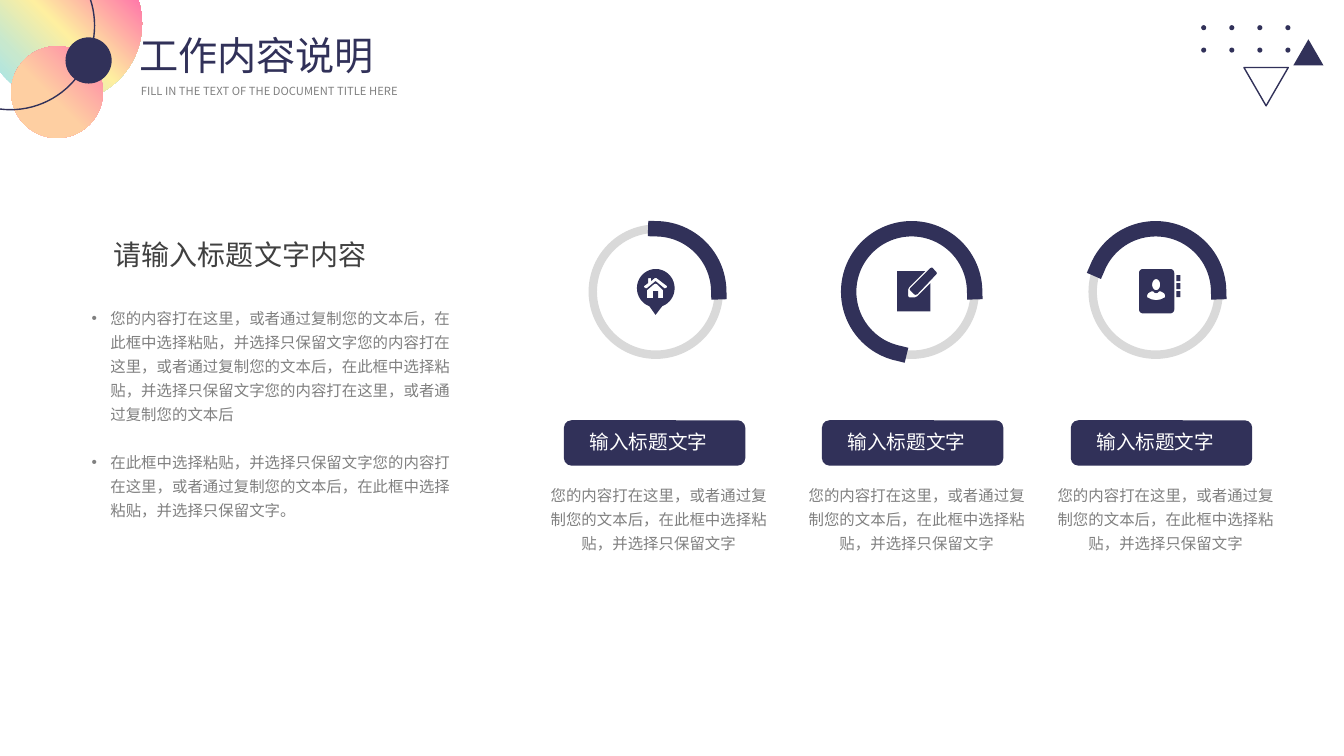
from math import cos, radians, sin

from lxml import etree
from pptx import Presentation
from pptx.dml.color import RGBColor
from pptx.enum.shapes import MSO_SHAPE
from pptx.enum.text import MSO_ANCHOR, MSO_AUTO_SIZE, PP_ALIGN
from pptx.oxml.ns import qn
from pptx.util import Pt

OVAL, TRIANGLE = MSO_SHAPE.OVAL, MSO_SHAPE.ISOSCELES_TRIANGLE
ARC, PILL = MSO_SHAPE.ARC, MSO_SHAPE.ROUNDED_RECTANGLE
LEFT, CENTER, JUSTIFY = PP_ALIGN.LEFT, PP_ALIGN.CENTER, PP_ALIGN.JUSTIFY
TOP, MIDDLE = MSO_ANCHOR.TOP, MSO_ANCHOR.MIDDLE
FIT = MSO_AUTO_SIZE.SHAPE_TO_FIT_TEXT

COLORS = {
    "navy": "313159", "track": "D9D9D9", "dark": "404040", "gray": "808080",
    "white": "FFFFFF", "aqua": "A3E4EC", "mint": "C7E8CE", "yellow": "FEEFA0",
    "pink": "FF7CA9", "peach": "FECFA2",
}
FONT, BODY_FONT = "Noto Sans CJK SC", "Arial"

# Content
TITLE = "工作内容说明"
SUBTITLE = "FILL IN THE TEXT OF THE DOCUMENT TITLE HERE"
HEADING = "请输入标题文字内容"
BULLETS = [
    "您的内容打在这里，或者通过复制您的文本后，在此框中选择粘贴，并选择只保留文字"
    "您的内容打在这里，或者通过复制您的文本后，在此框中选择粘贴，并选择只保留文字"
    "您的内容打在这里，或者通过复制您的文本后",
    "在此框中选择粘贴，并选择只保留文字您的内容打在这里，或者通过复制您的文本后，"
    "在此框中选择粘贴，并选择只保留文字。",
]
LABEL = "输入标题文字"
DETAIL = "您的内容打在这里，或者通过复制您的文本后，在此框中选择粘贴，并选择只保留文字"


def curve(center_x, center_y, radius_x, radius_y, start=0, end=360, steps=36):
    angles = [radians(start + (end - start) * i / steps) for i in range(steps + 1)]
    return [(center_x + radius_x * cos(a), center_y + radius_y * sin(a)) for a in angles]


def block(left, top, right, bottom):
    return [(left, top), (right, top), (right, bottom), (left, bottom)]


# Icon outlines, on a grid of ICON_UNIT points
ICON_UNIT = 0.72
HOME_PIN = [
    curve(18.7, 19, 18.7, 19, 110, 430) + [(18.5, 45.5)],
    [(10, 21), (10, 29), (16, 29), (16, 22), (21, 22), (21, 29), (26, 29), (26, 21),
     (20, 15), (18.5, 14.5), (17, 15)],
    [(14, 9), (11, 9), (11, 14), (7, 17), (7, 18), (9, 19.3), (10, 19), (18.5, 12),
     (27, 19), (28, 19.3), (30, 18), (30, 17), (19.5, 9), (18.5, 8.7), (17.5, 9), (14, 12)],
]
NOTE_PEN = [
    [(28, 4), (12, 20), (11, 22), (11, 29), (12, 30), (18, 30), (20, 29), (33, 16),
     (33, 44), (0, 44), (0, 4)],
    [(34, 0.5), (35, 0.5), (39, 5), (39.5, 6), (39, 7), (20, 27), (18.5, 27.5), (17, 27),
     (13, 23), (12.5, 22), (13, 21), (33, 1)],
]
CONTACT_BOOK = [
    curve(31, 4, 4, 4, 270, 360, 6) + curve(31, 40, 4, 4, 0, 90, 6)
    + curve(4, 40, 4, 4, 90, 180, 6) + curve(4, 4, 4, 4, 180, 270, 6),
    curve(17, 15.5, 4, 5.5),
    [(14, 22), (15.5, 23.5), (17, 24), (18.5, 23.5), (20, 22), (22, 22.3), (25, 24),
     (26, 26), (26, 28), (22, 30), (17, 31), (12, 30), (8, 28), (8, 26), (9, 24), (12, 22.3)],
    *[block(37, top, 41, top + 6) for top in (6, 14, 22)],
]
# Text left, ring left, dark arc start angle, icon left, icon top, icon outlines
COLUMNS = [
    (383.8, 423.4, 270, 455, 192.2, HOME_PIN),
    (568.1, 606.2, 101.56, 640.8, 190.8, NOTE_PEN),
    (745.9, 780.5, 201.32, 813.6, 192.2, CONTACT_BOOK),
]

deck = Presentation()
deck.slide_width, deck.slide_height = Pt(960), Pt(540)
page = deck.slides.add_slide(deck.slide_layouts[6])


def color(name):
    return RGBColor.from_string(COLORS[name])


def style(shape, fill=None, line=None, line_width=1):
    shape.shadow.inherit = False
    if fill:
        shape.fill.solid()
        shape.fill.fore_color.rgb = color(fill)
    else:
        shape.fill.background()
    if line:
        shape.line.color.rgb = color(line)
        shape.line.width = Pt(line_width)
    else:
        shape.line.fill.background()
    return shape


def add_shape(kind, left, top, width, height, **look):
    return style(page.shapes.add_shape(kind, Pt(left), Pt(top), Pt(width), Pt(height)), **look)


def set_gradient(shape, stops, angle=None):
    """Linear at an angle, or radial from the lower left corner without one."""
    gradient = etree.Element(qn("a:gradFill"), rotWithShape="1")
    stop_list = etree.SubElement(gradient, qn("a:gsLst"))
    for position, name in stops:
        stop = etree.SubElement(stop_list, qn("a:gs"), pos=str(position * 1000))
        etree.SubElement(stop, qn("a:srgbClr"), val=COLORS[name])
    if angle is None:
        radial = etree.SubElement(gradient, qn("a:path"), path="circle")
        etree.SubElement(radial, qn("a:fillToRect"), t="100000", r="100000")
    else:
        etree.SubElement(gradient, qn("a:lin"), ang=str(angle * 60000), scaled="0")
    properties = shape.element.spPr
    properties.replace(properties.find(qn("a:noFill")), gradient)


def add_text(left, top, width, height, texts, size, ink, font=FONT, align=LEFT,
             anchor=MIDDLE, spacing=None, wrap=True, bullets=False):
    box = page.shapes.add_textbox(Pt(left), Pt(top), Pt(width), Pt(height))
    frame = box.text_frame
    frame.word_wrap, frame.auto_size, frame.vertical_anchor = wrap, FIT, anchor
    for index, text in enumerate(texts):
        para = frame.add_paragraph() if index else frame.paragraphs[0]
        para.text = text
        para.alignment = align
        if spacing:
            para.line_spacing = spacing
        if index:
            para.space_before = Pt(17.2)
        if bullets:
            settings = para._p.get_or_add_pPr()
            settings.set("marL", str(Pt(13.5)))
            settings.set("indent", str(-Pt(13.5)))
            etree.SubElement(settings, qn("a:buFont"), typeface="Arial")
            etree.SubElement(settings, qn("a:buChar"), char="•")
        span = para.runs[0]
        span.font.size, span.font.name = Pt(size), font
        span.font.color.rgb = color(ink)
        etree.SubElement(span._r.get_or_add_rPr(), qn("a:ea"), typeface=FONT)


def add_arc(left, start, end, ink, line_width):
    arc = add_shape(ARC, left, 163.4, 90, 90, line=ink, line_width=line_width)
    arc.adjustments[0], arc.adjustments[1] = start * 0.6, end * 0.6
    arc.element.spPr.find(qn("a:ln")).set("cap", "sq")


def add_icon(left, top, outlines):
    scaled = [[(Pt(x * ICON_UNIT), Pt(y * ICON_UNIT)) for x, y in line] for line in outlines]
    builder = page.shapes.build_freeform(*scaled[0][0])
    for index, line in enumerate(scaled):
        if index:
            builder.move_to(*line[0])
        builder.add_line_segments(line[1:], close=True)
    style(builder.convert_to_shape(Pt(left), Pt(top)), fill="navy")


# Corner decorations
rainbow = add_shape(OVAL, -11.5, -39.6, 113, 113)
set_gradient(rainbow, [(7, "aqua"), (25, "mint"), (48, "yellow"), (81, "pink")], 315)
for column in range(4):
    for row in range(2):
        add_shape(OVAL, 858 + 20.05 * column, 18 + 16 * row, 3.6, 3.6, fill="navy")
set_gradient(add_shape(OVAL, 8, 33, 65.6, 65.6), [(44, "peach"), (100, "pink")])
add_shape(OVAL, 46.8, 26.7, 33, 33, fill="navy")
add_shape(OVAL, -52.6, -41.8, 120.2, 120.2, line="navy")
add_shape(TRIANGLE, 888.5, 48.2, 31.7, 27.4, line="navy").rotation = 180
add_shape(TRIANGLE, 923.8, 28.1, 21.6, 18.7, fill="navy")

# Title and left text
add_text(92.2, 18.7, 200.9, 41, [TITLE], 28, "navy", align=JUSTIFY)
add_text(93.6, 56.2, 199.4, 17.3, [SUBTITLE], 8, "gray", wrap=False)
add_text(74.2, 165.6, 207.4, 31.7, [HEADING], 20, "dark", align=JUSTIFY)
add_text(58.3, 213.1, 271.4, 160.6, BULLETS, 11, "gray", anchor=TOP, spacing=1.3, bullets=True)

# Three columns
for text_left, ring_left, start, icon_left, icon_top, outlines in COLUMNS:
    add_arc(ring_left, 358.28, 287.7, "track", 6)
    add_arc(ring_left, start, 0, "navy", 11)
    add_icon(icon_left, icon_top, outlines)
    add_text(text_left, 339.8, 173.5, 57.6, [DETAIL], 11, "gray", BODY_FONT, CENTER, TOP, 1.3)
    add_shape(PILL, text_left + 19, 300.2, 129.6, 32.4, fill="navy")
    add_text(text_left + 30.2, 303.1, 103, 24.5, [LABEL], 14, "white", align=JUSTIFY)

deck.save("out.pptx")
